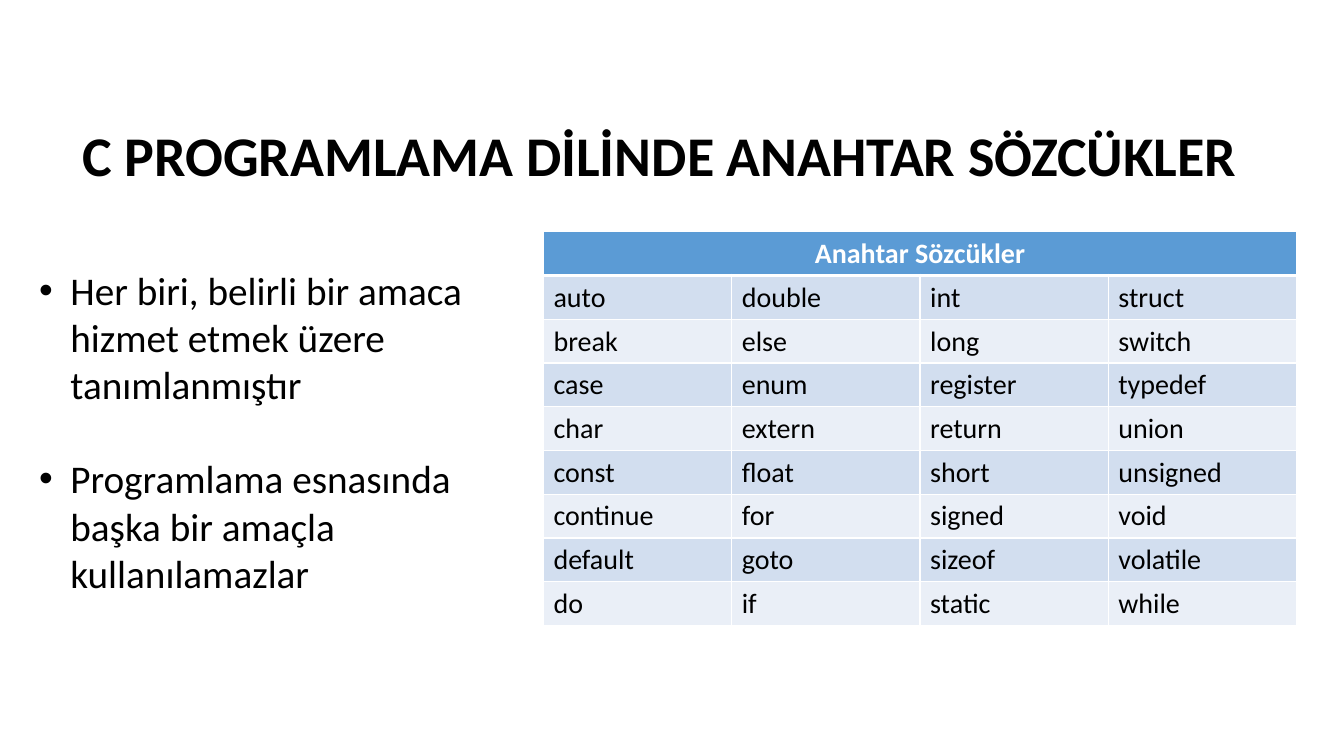
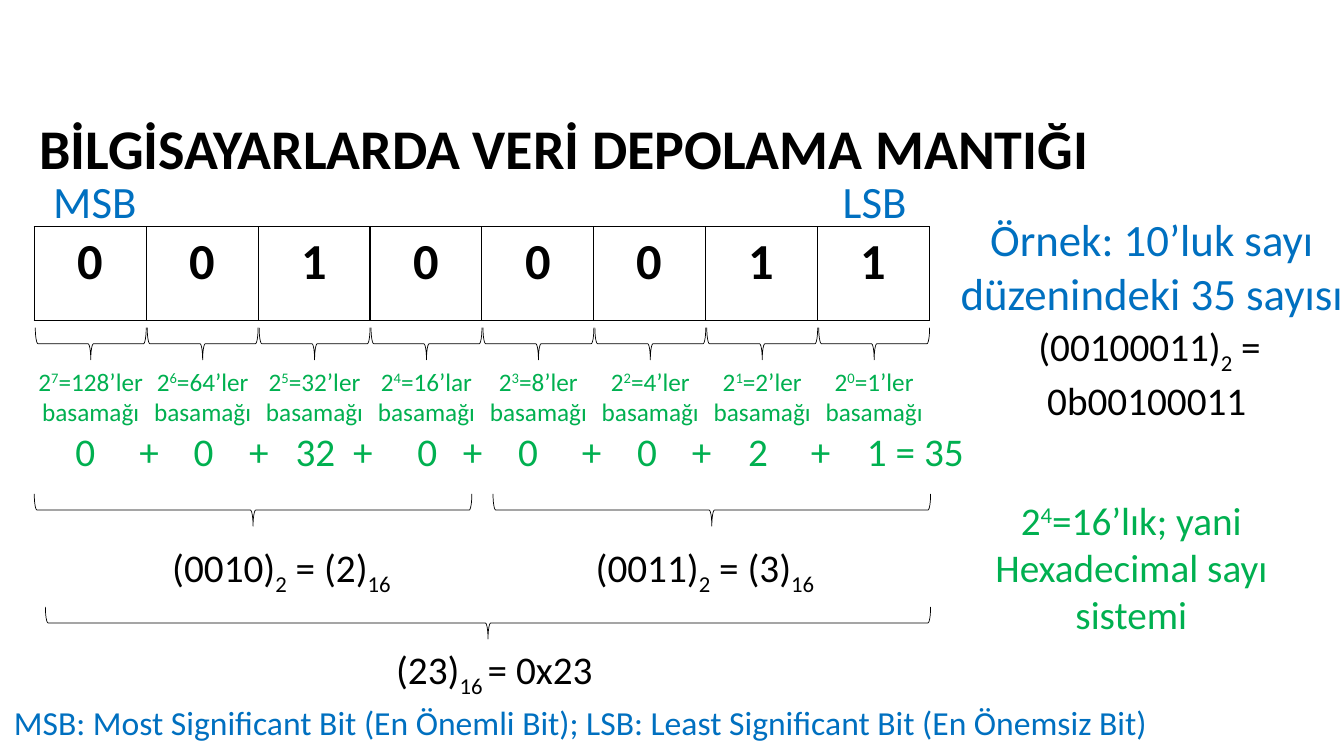
from dataclasses import dataclass

from lxml import etree
from pptx import Presentation
from pptx.dml.color import RGBColor
from pptx.enum.shapes import MSO_SHAPE
from pptx.enum.text import MSO_AUTO_SIZE, PP_ALIGN
from pptx.oxml.ns import qn
from pptx.util import Inches, Pt

LEFT, CENTER = PP_ALIGN.LEFT, PP_ALIGN.CENTER
FIT_SHAPE = MSO_AUTO_SIZE.SHAPE_TO_FIT_TEXT
RIGHT_BRACE = MSO_SHAPE.RIGHT_BRACE
SUP, SUB = 30000, -25000


@dataclass(frozen=True)
class Theme:
    font: str = "Calibri"
    black: str = "000000"
    white: str = "FFFFFF"
    blue: str = "0070C0"
    green: str = "00B050"
    header: str = "5B9BD5"
    bands: tuple = ("D2DEEF", "EAEFF7")
    title: int = 40
    bit: int = 36
    label: int = 32
    body: int = 28
    note: int = 24
    keyword: int = 20
    weight: int = 18


T = Theme()

KEYWORDS = [
    "auto double int struct",
    "break else long switch",
    "case enum register typedef",
    "char extern return union",
    "const float short unsigned",
    "continue for signed void",
    "default goto sizeof volatile",
    "do if static while",
]
BITS = "00100011"
WEIGHTS = ["128’ler", "64’ler", "32’ler", "16’lar", "8’ler", "4’ler", "2’ler", "1’ler"]
SUM_TERMS = ["0", "+", "0", "+", "32", "+", "0", "+", "0", "+", "0", "+", "2", "+", "1 = 35"]
SUM_STOPS = [0.73, 1.27, 1.82, 2.38, 2.85, 3.49, 3.94, 4.49,
             5.12, 5.67, 6.21, 6.77, 7.39, 8.33]


def format_paragraph(p, size, color, bold=False, align=LEFT):
    p.alignment = align
    p.font.name = T.font
    p.font.size = Pt(size)
    p.font.bold = bold
    p.font.color.rgb = RGBColor.from_string(color)


def add_runs(p, content):
    """Fill p from a string, or from a list of strings and (text, baseline) pairs."""
    for part in [content] if isinstance(content, str) else content:
        text, baseline = (part, None) if isinstance(part, str) else part
        r = p.add_run()
        r.text = text
        if baseline:
            r._r.get_or_add_rPr().set("baseline", str(baseline))


def add_text(s, box, paragraphs, size, color=T.black, bold=False, align=LEFT, wrap=True):
    tf = s.shapes.add_textbox(*map(Inches, box)).text_frame
    tf.word_wrap = wrap
    tf.auto_size = FIT_SHAPE
    for i, content in enumerate(paragraphs):
        p = tf.add_paragraph() if i else tf.paragraphs[0]
        format_paragraph(p, size, color, bold, align)
        add_runs(p, content)
    return tf


def add_title(s, box, text):
    add_text(s, box, [text], T.title, bold=True, wrap=False)


def add_bullets(tf, indent, gap):
    for i, p in enumerate(tf.paragraphs):
        if i:
            p.space_before = Pt(gap)
        pPr = p._p.get_or_add_pPr()
        pPr.set("marL", str(Inches(indent)))
        pPr.set("indent", str(-Inches(indent)))
        font = etree.Element(qn("a:buFont"), typeface="Arial")
        bullet = etree.Element(qn("a:buChar"), char="•")
        place_before_font(pPr, font, bullet)


def add_center_tabs(p, stops):
    tabs = etree.Element(qn("a:tabLst"))
    for stop in stops:
        etree.SubElement(tabs, qn("a:tab"), pos=str(Inches(stop)), algn="ctr")
    place_before_font(p._p.get_or_add_pPr(), tabs)


def place_before_font(pPr, *elements):
    """Keep the schema order: default run properties come last."""
    for element in elements:
        pPr.find(qn("a:defRPr")).addprevious(element)


def add_plain_table(s, rows, cols, box):
    table = s.shapes.add_table(rows, cols, *map(Inches, box)).table
    table.first_row = table.horz_banding = False
    for col in table.columns:
        col.width = Inches(box[2] / cols)
    for row in table.rows:
        row.height = Inches(box[3] / rows)
    return table


def style_cell(cell, fill, border, top=1, bottom=1):
    tcPr = cell._tc.get_or_add_tcPr()
    for side, width in (("L", 1), ("R", 1), ("T", top), ("B", bottom)):
        ln = etree.SubElement(tcPr, qn(f"a:ln{side}"), w=str(Pt(width)))
        solid = etree.SubElement(ln, qn("a:solidFill"))
        etree.SubElement(solid, qn("a:srgbClr"), val=border)
    cell.fill.solid()
    cell.fill.fore_color.rgb = RGBColor.from_string(fill)


def write_cell(cell, text, size, color=T.black, bold=False, align=LEFT):
    p = cell.text_frame.paragraphs[0]
    format_paragraph(p, size, color, bold, align)
    add_runs(p, text)


def add_brace(s, center_x, center_y, width, depth=0.32):
    """Draw a brace that spans width and points down."""
    box = (center_x - depth / 2, center_y - width / 2, depth, width)
    brace = s.shapes.add_shape(RIGHT_BRACE, *map(Inches, box))
    brace.rotation = 90
    brace.shadow.inherit = False
    brace.fill.background()
    brace.line.color.rgb = RGBColor.from_string(T.black)
    brace.line.width = Pt(0.5)


def add_keyword_table(s):
    table = add_plain_table(s, len(KEYWORDS) + 1, 4, (5.39, 2.3, 7.47, 3.9))
    for cell in table.rows[0].cells:
        style_cell(cell, T.header, T.white, bottom=3)
    table.cell(0, 0).merge(table.cell(0, 3))
    write_cell(table.cell(0, 0), "Anahtar Sözcükler", T.keyword, T.white, True, CENTER)
    for i, line in enumerate(KEYWORDS):
        for j, word in enumerate(line.split()):
            cell = table.cell(i + 1, j)
            style_cell(cell, T.bands[i % 2], T.white, top=1 if i else 3)
            write_cell(cell, word, T.keyword)


def add_bit_row(s):
    pitch = 1.11
    table = add_plain_table(s, 1, len(BITS), (0.34, 2.25, pitch * len(BITS), 0.93))
    for i, (bit, weight) in enumerate(zip(BITS, WEIGHTS)):
        style_cell(table.cell(0, i), T.white, T.black)
        write_cell(table.cell(0, i), bit, T.bit, bold=True, align=CENTER)
        center = 0.9 + i * pitch
        add_brace(s, center, 3.41, 1.1)
        power = ["2", (str(len(BITS) - 1 - i), SUP), f"={weight} basamağı"]
        add_text(s, (center - 0.73, 3.58, 1.46, 0.71), [power], T.weight, T.green, align=CENTER)


def add_sum(s):
    tf = add_text(s, (0.65, 4.19, 9.16, 0.57), ["\t".join(SUM_TERMS)], T.body, T.green)
    add_center_tabs(tf.paragraphs[0], SUM_STOPS)


def add_hex_digits(s):
    for center, left, bits, digit in ((2.51, 1.61, "0010", "2"), (7.06, 5.81, "0011", "3")):
        add_brace(s, center, 5.06, 4.34)
        equation = [f"({bits})", ("2", SUB), f" = ({digit})", ("16", SUB)]
        add_text(s, (left, 5.34, 2.45, 0.57), [equation], T.body, wrap=False)
    add_brace(s, 4.84, 6.18, 8.78)
    add_text(s, (3.83, 6.35, 2.31, 0.57), [["(23)", ("16 ", SUB), "= 0x23"]], T.body, wrap=False)


def build_keywords(s):
    add_title(s, (0.72, 1.15, 11.77, 0.77), "C PROGRAMLAMA DİLİNDE ANAHTAR SÖZCÜKLER")
    add_keyword_table(s)
    tf = add_text(s, (0.29, 2.59, 5.07, 3.4), [
        "Her biri, belirli bir amaca hizmet etmek üzere tanımlanmıştır",
        "Programlama esnasında başka bir amaçla kullanılamazlar",
    ], T.body)
    add_bullets(tf, 0.31, gap=34)


def build_storage(s):
    add_title(s, (0.29, 1.08, 10.71, 0.77), "BİLGİSAYARLARDA VERİ DEPOLAMA MANTIĞI")
    add_bit_row(s)
    add_sum(s)
    add_hex_digits(s)
    for text, left, width in (("MSB", 0.43, 1.04), ("LSB", 8.26, 0.84)):
        add_text(s, (left, 1.67, width, 0.64), [text], T.label, T.blue, wrap=False)
    add_text(s, (9.38, 2.05, 4.09, 1.18), ["Örnek: 10’luk sayı düzenindeki 35 sayısı"],
             T.label, T.blue, align=CENTER)
    add_text(s, (10.2, 3.15, 2.55, 1.04), [["(00100011)", ("2", SUB), " ="], " 0b00100011"],
             T.body, wrap=False)
    add_text(s, (9.43, 4.87, 3.58, 1.51),
             [["2", ("4", SUP), "=16’lık; yani Hexadecimal sayı sistemi"]],
             T.body, T.green, align=CENTER)
    add_text(s, (0.04, 6.91, 11.54, 0.5),
             ["MSB: Most Significant Bit (En Önemli Bit); LSB: Least Significant Bit (En Önemsiz Bit)"],
             T.note, T.blue, wrap=False)


def main():
    prs = Presentation()
    prs.slide_width, prs.slide_height = Inches(13.33), Inches(7.5)
    for build in (build_keywords, build_storage):
        build(prs.slides.add_slide(prs.slide_layouts[6]))
    prs.save("out.pptx")


if __name__ == "__main__":
    main()
